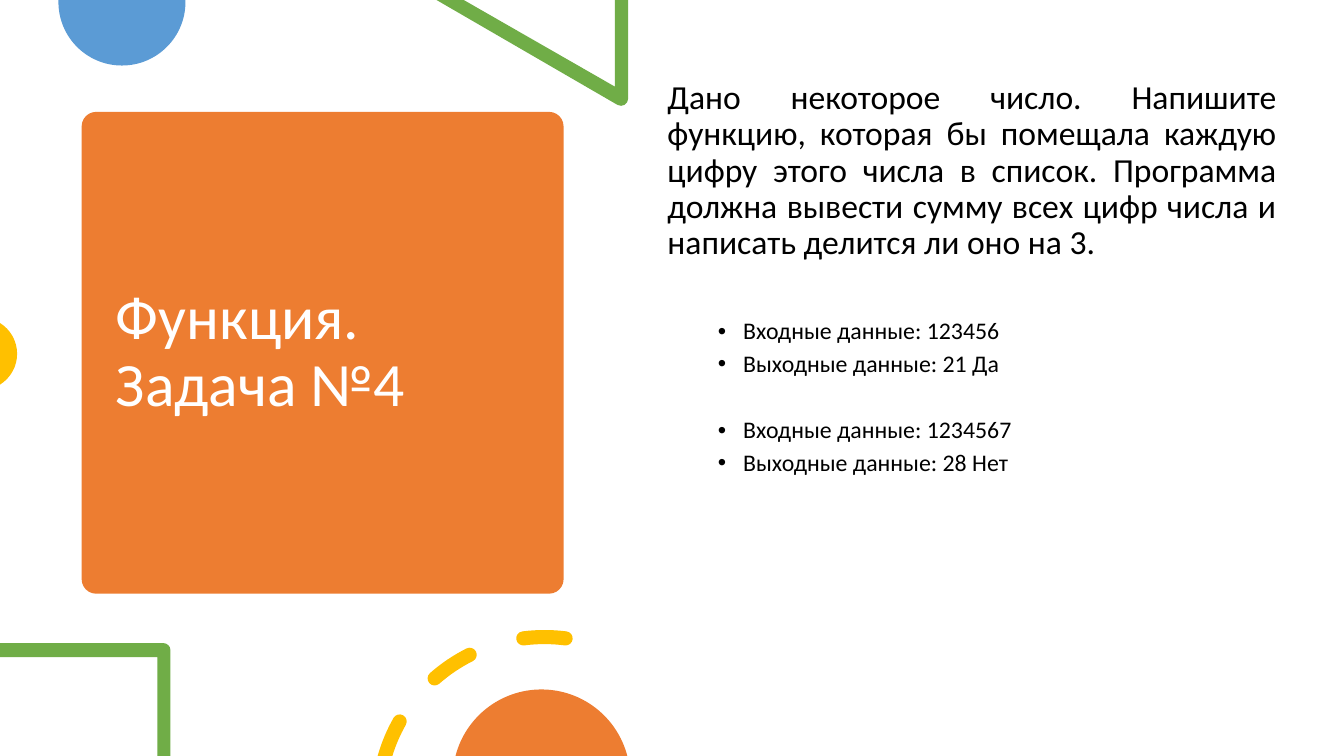
from math import cos, radians, sin, tan

from pptx import Presentation
from pptx.dml.color import RGBColor
from pptx.enum.shapes import MSO_SHAPE
from pptx.enum.text import MSO_ANCHOR, MSO_AUTO_SIZE, PP_ALIGN
from pptx.oxml.ns import qn
from pptx.util import Pt

# Content
TITLE_LINES = ["Функция.", "Задача №4"]
TASK = ("Дано некоторое число. Напишите функцию, которая бы помещала каждую "
        "цифру этого числа в список. Программа должна вывести сумму всех цифр "
        "числа и написать делится ли оно на 3.")
EXAMPLES = [
    ("Входные данные: 123456", "Выходные данные: 21 Да"),
    ("Входные данные: 1234567", "Выходные данные: 28 Нет"),
]
COLORS = {"orange": "ED7D31", "blue": "5B9BD5", "green": "70AD47",
          "yellow": "FFC000", "white": "FFFFFF", "black": "000000"}

# Layout in px, 100 to the inch
PX = 9144
SLIDE_SIZE = (1333, 750)
CARD_BOX = (81, 111, 478, 478)
TITLE_BOX = (105, 122, 431, 456)
BODY_BOX = (652, 75, 624, 623)
BULLET_LEFT, BULLET_HANG = 75, 25
TASK_GAP, EXAMPLE_GAP, LINE_GAP = 41, 29, 5  # points
RING_CENTER, RING_RADIUS, DASH_HALF = (540, 797), 165, 7


def on_circle(center, radius, angle):
    return (center[0] + radius * cos(radians(angle)),
            center[1] + radius * sin(radians(angle)))


def arc(center, radius, start, end, pieces=2):
    """Start point, then curves as (control, control, end); clockwise degrees."""
    step = (end - start) / pieces
    handle = 4 / 3 * tan(radians(step) / 4)
    nodes = [on_circle(center, radius, start)]
    for index in range(pieces):
        first, last = start + index * step, start + (index + 1) * step
        (x1, y1), (x2, y2) = (on_circle(center, radius, a) for a in (first, last))
        (dx1, dy1), (dx2, dy2) = (on_circle((0, 0), radius * handle, a + 90)
                                  for a in (first, last))
        nodes.append((x1 + dx1, y1 + dy1, x2 - dx2, y2 - dy2, x2, y2))
    return nodes


def dash_end(angle, turn):
    """Round cap of a ring dash, without its start point."""
    center = on_circle(RING_CENTER, RING_RADIUS, angle)
    return arc(center, DASH_HALF, turn, turn + 180)[1:]


def dash_sides(outer_start, end, inner_start, pieces):
    """Outer edge, round cap and inner edge."""
    outer = arc(RING_CENTER, RING_RADIUS + DASH_HALF, outer_start, end, pieces)
    inner = arc(RING_CENTER, RING_RADIUS - DASH_HALF, end, inner_start, pieces)
    return outer + dash_end(end, end) + inner[1:]


def ring_dash(start, end):
    return dash_sides(start, end, start, 2) + dash_end(start, start + 180)


# Decorations: color and closed contours
DECORATIONS = [
    ("blue", [[(184, 0)] + arc((121, 2), 63, 0, 180) + [(58, 0)]]),
    ("green", [[(623, 0), (610, 0), (610, 86), (460, 0), (433, 0)]
               + arc((616, 98), 7, 120, 0)]),
    ("yellow", [arc((-19, 351), 36, -58, 58)]),
    ("green", [[(169, 750), (156, 750), (156, 652), (0, 652), (0, 638)]
               + arc((162, 645), 7, 270, 360, 1)]),
    ("yellow", [dash_sides(195.9, 209.5, 197.3, 1),
                ring_dash(228.7, 243.3), ring_dash(262.7, 277.3)]),
    ("orange", [arc((537, 772), 88, 194.5, 345.5)]),
]


def paint(shape, color):
    shape.shadow.inherit = False
    shape.fill.solid()
    shape.fill.fore_color.rgb = RGBColor.from_string(COLORS[color])
    shape.line.fill.background()


def add_contours(shapes, contours):
    scaled = [[[round(v * PX) for v in node] for node in nodes] for nodes in contours]
    builder = shapes.build_freeform(*scaled[0][0], scale=1.0)
    for index, nodes in enumerate(scaled):
        if index:
            builder.move_to(*nodes[0])
        builder.add_line_segments([node[-2:] for node in nodes[1:]], close=True)
    shape = builder.convert_to_shape()

    # Turn the segments that have control points into curves
    outline = shape._element.find(".//" + qn("a:path"))
    segments = [s for s in outline if s.tag != qn("a:close")]
    for segment, node in zip(segments, [node for nodes in scaled for node in nodes]):
        if len(node) == 6:
            segment.tag = qn("a:cubicBezTo")
            for position in (0, 1):
                x, y = node[2 * position:2 * position + 2]
                segment.insert(position, outline.makeelement(
                    qn("a:pt"), {"x": str(x - shape.left), "y": str(y - shape.top)}))
    return shape


def place(placeholder, box, anchor):
    for name, value in zip(("left", "top", "width", "height"), box):
        setattr(placeholder, name, value * PX)
    frame = placeholder.text_frame
    frame_format = {"word_wrap": True, "auto_size": MSO_AUTO_SIZE.NONE,
                    "vertical_anchor": anchor}
    for name, value in frame_format.items():
        setattr(frame, name, value)
    return frame


def format_paragraph(paragraph, size, color, alignment, before=0):
    values = {"alignment": alignment, "line_spacing": 0.9,
              "space_before": Pt(before), "space_after": Pt(0)}
    for name, value in values.items():
        setattr(paragraph, name, value)
    for run in paragraph.runs:
        run.font.size = Pt(size)
        run.font.name = "Calibri"
        run.font.color.rgb = RGBColor.from_string(COLORS[color])


def set_bullet(paragraph, left, indent, character=None):
    properties = paragraph._p.get_or_add_pPr()
    properties.set("marL", str(left * PX))
    properties.set("indent", str(indent * PX))
    if character:
        font = properties.makeelement(qn("a:buFont"), {"typeface": "Arial"})
        bullet = properties.makeelement(qn("a:buChar"), {"char": character})
        properties.extend([font, bullet])
    else:
        properties.append(properties.makeelement(qn("a:buNone"), {}))


def main():
    presentation = Presentation()
    presentation.slide_width, presentation.slide_height = (v * PX for v in SLIDE_SIZE)
    slide = presentation.slides.add_slide(presentation.slide_layouts[1])
    shapes = slide.shapes
    title, body = shapes.title, slide.placeholders[1]

    # Card, with the title in front of it
    card = shapes.add_shape(MSO_SHAPE.ROUNDED_RECTANGLE, *(v * PX for v in CARD_BOX))
    card.adjustments[0] = 0.03
    paint(card, "orange")
    shapes._spTree.append(title._element)
    paragraph = place(title, TITLE_BOX, MSO_ANCHOR.MIDDLE).paragraphs[0]
    for index, line in enumerate(TITLE_LINES):
        if index:
            paragraph.add_line_break()
        paragraph.add_run().text = line
    format_paragraph(paragraph, 44, "white", PP_ALIGN.LEFT)

    # Decorations
    for color, contours in DECORATIONS:
        paint(add_contours(shapes, contours), color)

    # Task and examples
    shapes._spTree.append(body._element)
    frame = place(body, BODY_BOX, MSO_ANCHOR.TOP)
    paragraph = frame.paragraphs[0]
    paragraph.add_run().text = TASK
    set_bullet(paragraph, 0, 0)
    format_paragraph(paragraph, 24, "black", PP_ALIGN.JUSTIFY)
    for group, lines in enumerate(EXAMPLES):
        for index, line in enumerate(lines):
            before = LINE_GAP if index else EXAMPLE_GAP if group else TASK_GAP
            paragraph = frame.add_paragraph()
            paragraph.level = 1
            paragraph.add_run().text = line
            set_bullet(paragraph, BULLET_LEFT, -BULLET_HANG, "•")
            format_paragraph(paragraph, 17, "black", PP_ALIGN.JUSTIFY, before)

    presentation.save("out.pptx")


if __name__ == "__main__":
    main()
